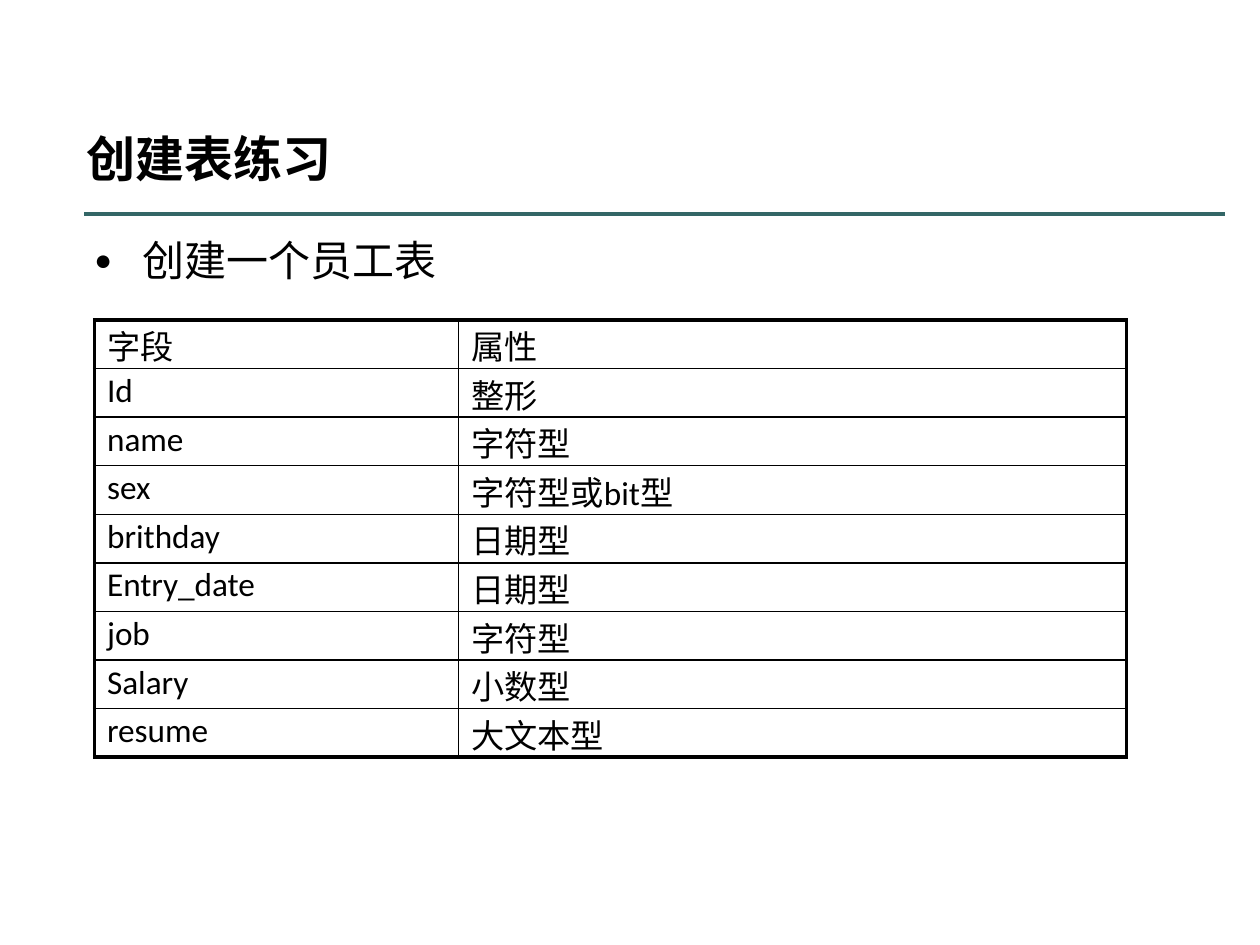
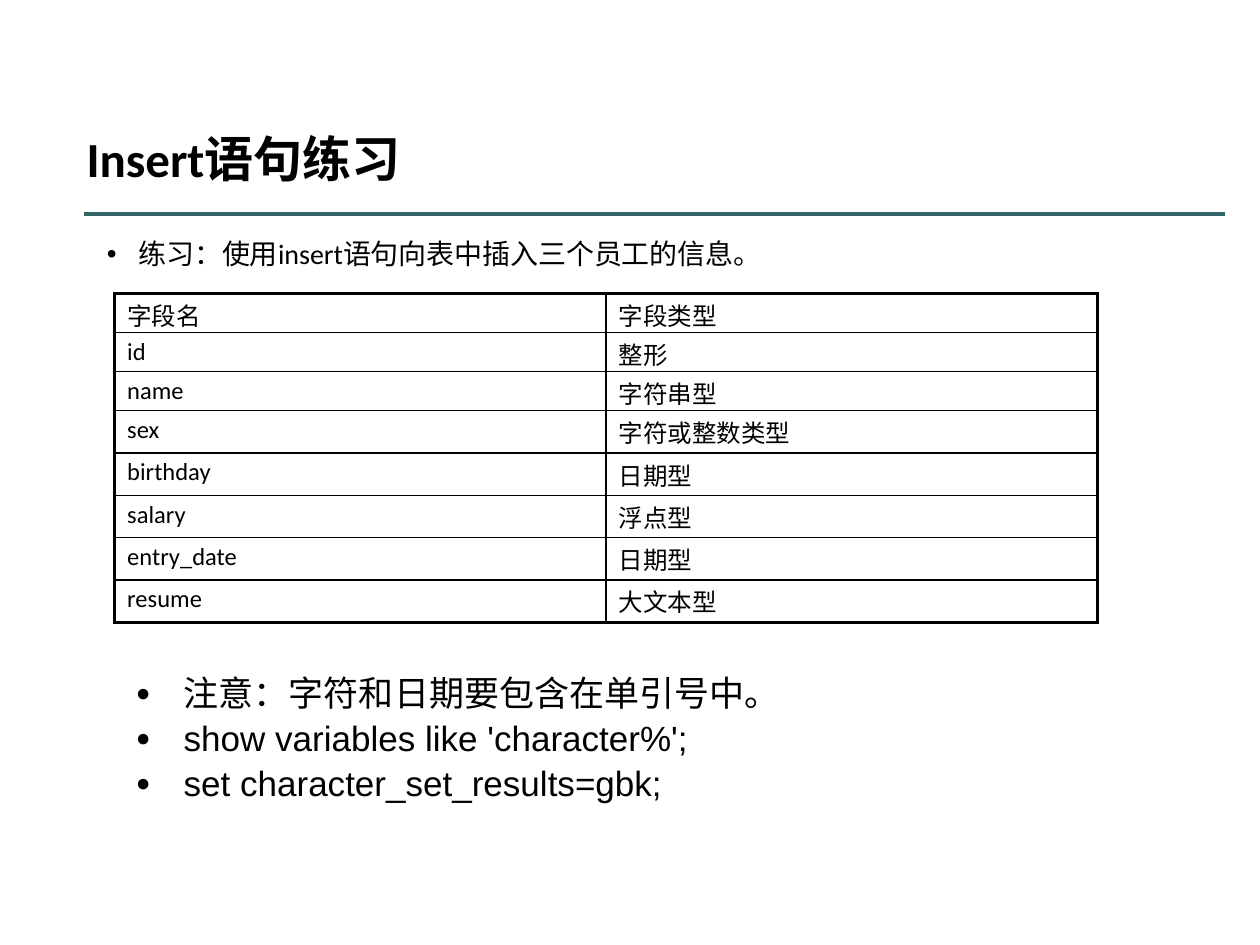
from lxml import etree
from pptx import Presentation
from pptx.dml.color import RGBColor
from pptx.enum.shapes import MSO_CONNECTOR
from pptx.enum.text import MSO_ANCHOR, MSO_AUTO_SIZE
from pptx.oxml import parse_xml
from pptx.oxml.ns import nsdecls, qn
from pptx.util import Inches, Pt

COLORS = {"text": "000000", "rule": "336666", "border": "000000"}
OUTER, INNER = 2.25, 1  # table border widths in points
DOT = {"char": "•", "indent": 0.25}
DISC = {"char": "●", "indent": 0.38, "size": 70}

# Content: text boxes are (lines, position, format)
SLIDES = [
    {
        "title": "创建表练习",
        "texts": [
            (["创建一个员工表"], (0.65, 1.86, 8.53, 0.46),
             {"size": 24, "font": "Arial", "bullet": DISC}),
        ],
        "table": {
            "at": (0.75, 2.54), "columns": [2.89, 5.3], "size": 19, "top": 0.04,
            "heights": [3.47 / 9] * 9,
            "rows": [
                ("字段", "属性"),
                ("Id", "整形"),
                ("name", "字符型"),
                ("sex", "字符型或bit型"),
                ("brithday", "日期型"),
                ("Entry_date", "日期型"),
                ("job", "字符型"),
                ("Salary", "小数型"),
                ("resume", "大文本型"),
            ],
        },
    },
    {
        "title": "Insert语句练习",
        "texts": [
            (["练习：使用insert语句向表中插入三个员工的信息。"], (0.75, 1.86, 8.35, 0.37),
             {"size": 16, "bullet": DOT}),
            (["注意：字符和日期要包含在单引号中。",
              "show variables like 'character%';",
              "set character_set_results=gbk;"], (0.98, 5.32, 7.8, 1.13),
             {"size": 20, "font": "Arial", "bullet": DISC, "gap": 4}),
        ],
        "table": {
            "at": (0.91, 2.33), "columns": [3.9, 3.9], "size": 14, "top": 0.05,
            "heights": [0.31] * 3 + [1.68 / 5] * 5,
            "rows": [
                ("字段名", "字段类型"),
                ("id", "整形"),
                ("name", "字符串型"),
                ("sex", "字符或整数类型"),
                ("birthday", "日期型"),
                ("salary", "浮点型"),
                ("entry_date", "日期型"),
                ("resume", "大文本型"),
            ],
        },
    },
]


def color(name):
    return RGBColor.from_string(COLORS[name])


def add_bullet(para, char, indent, size=100):
    props = para._p.get_or_add_pPr()
    props.set("marL", str(Inches(indent)))
    props.set("indent", str(-Inches(indent)))
    for tag, key, value in (("buSzPct", "val", str(size * 1000)),
                            ("buFont", "typeface", "Arial"),
                            ("buChar", "char", char)):
        etree.SubElement(props, qn(f"a:{tag}")).set(key, value)


def write(frame, lines, size=14, font="Calibri", bold=False, bullet=None, gap=0):
    for index, line in enumerate(lines):
        para = frame.paragraphs[0] if index == 0 else frame.add_paragraph()
        para.line_spacing = 0.9
        if index:
            para.space_before = Pt(gap)
        if bullet:
            add_bullet(para, **bullet)
        span = para.add_run()
        span.text = line
        span.font.size = Pt(size)
        span.font.name = font
        span.font.bold = bold
        span.font.color.rgb = color("text")


def add_text(page, lines, at, anchor=MSO_ANCHOR.TOP, grow=True, **style):
    box = page.shapes.add_textbox(*map(Inches, at))
    frame = box.text_frame
    frame.word_wrap = True
    frame.vertical_anchor = anchor
    frame.auto_size = MSO_AUTO_SIZE.SHAPE_TO_FIT_TEXT if grow else MSO_AUTO_SIZE.NONE
    write(frame, lines, **style)


def add_header(page, title):
    add_text(page, [title], (0.59, 0.83, 8.9, 0.71), anchor=MSO_ANCHOR.BOTTOM,
             grow=False, size=28, bold=True)
    rule = page.shapes.add_connector(
        MSO_CONNECTOR.STRAIGHT, *map(Inches, (0.67, 1.7, 9.72, 1.7)))
    rule.line.color.rgb = color("rule")
    rule.line.width = Pt(2)
    etree.SubElement(rule._element.spPr, qn("a:effectLst"))


def set_borders(cell, widths):
    props = cell._tc.get_or_add_tcPr()
    for index, (side, width) in enumerate(widths.items()):
        props.insert(index, parse_xml(
            f'<a:ln{side} {nsdecls("a")} w="{Pt(width)}"><a:solidFill>'
            f'<a:srgbClr val="{COLORS["border"]}"/></a:solidFill></a:ln{side}>'))


def add_grid(page, at, columns, heights, rows, size, top):
    area = (*at, sum(columns), sum(heights))
    table = page.shapes.add_table(len(rows), len(columns), *map(Inches, area)).table
    table.first_row = table.horz_banding = False
    for column, width in zip(table.columns, columns):
        column.width = Inches(width)
    for row, height in zip(table.rows, heights):
        row.height = Inches(height)
    last_row, last_column = len(rows) - 1, len(columns) - 1
    for r, texts in enumerate(rows):
        for c, text in enumerate(texts):
            cell = table.cell(r, c)
            write(cell.text_frame, [text], size=size)
            # Tight margins keep the rows at their set height
            cell.margin_top, cell.margin_bottom = Inches(top), 0
            cell.fill.background()
            # Heavy outline, thin inner lines
            edges = {"L": c == 0, "R": c == last_column,
                     "T": r == 0, "B": r == last_row}
            set_borders(cell, {side: OUTER if outer else INNER
                               for side, outer in edges.items()})


def main():
    deck = Presentation()
    deck.slide_width, deck.slide_height = Inches(10), Inches(7.5)
    for content in SLIDES:
        page = deck.slides.add_slide(deck.slide_layouts[6])
        add_header(page, content["title"])
        add_grid(page, **content["table"])
        for lines, at, style in content["texts"]:
            add_text(page, lines, at, **style)
    deck.save("out.pptx")


if __name__ == "__main__":
    main()
